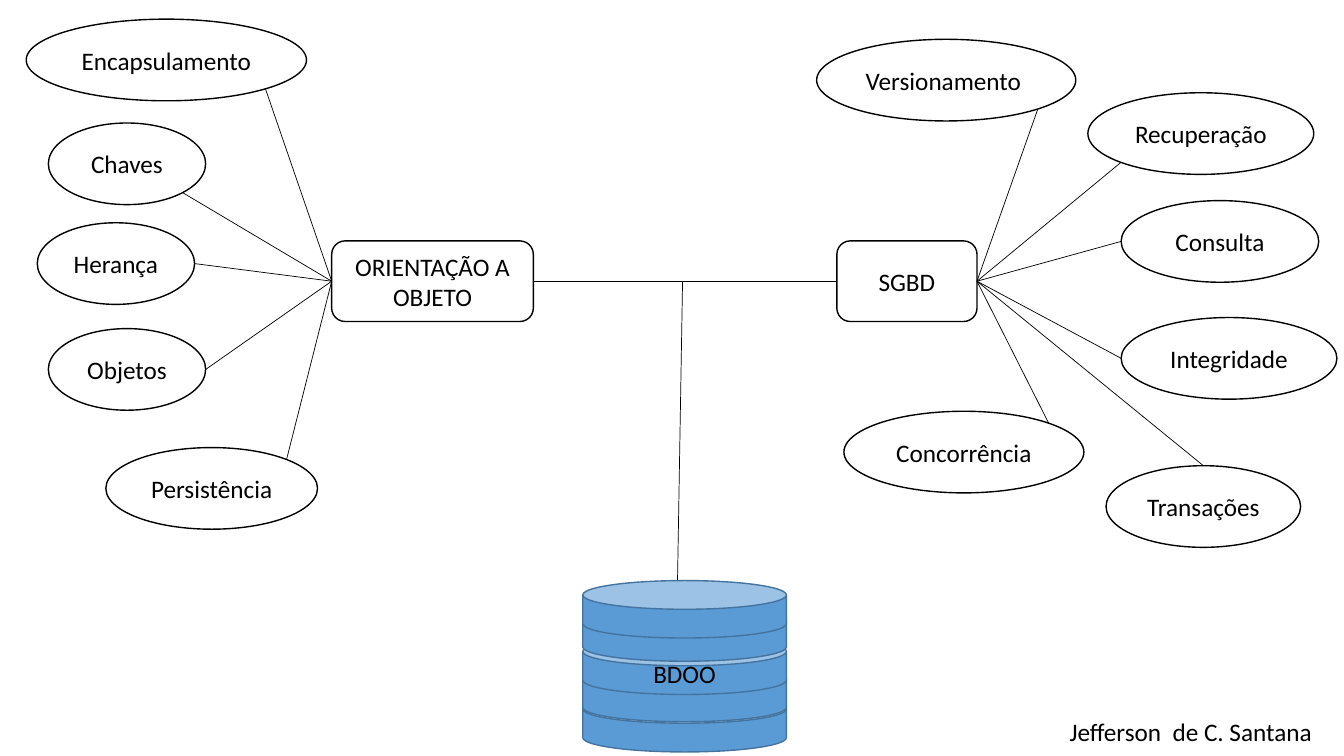
import math

import pptx
import pptx.dml.color
import pptx.enum.shapes
import pptx.enum.text
import pptx.oxml.ns
import pptx.util
from lxml import etree

PX = 9144  # EMU per px, 100 px to the inch
FONT = "Calibri"
COLORS = {"paper": "FFFFFF", "ink": "000000", "disk": "5B9BD5", "disk_edge": "43739E"}
SHAPE = pptx.enum.shapes.MSO_SHAPE
LEFT_SIDE, RIGHT_SIDE = 1, 3

presentation = pptx.Presentation()
presentation.slide_width = 1333 * PX
presentation.slide_height = 750 * PX
slide = presentation.slides.add_slide(presentation.slide_layouts[6])


def add_node(kind, box, text="", fill="paper", edge="ink"):
    shape = slide.shapes.add_shape(kind, *(length * PX for length in box))
    shape.shadow.inherit = False
    shape.fill.solid()
    shape.fill.fore_color.rgb = pptx.dml.color.RGBColor.from_string(COLORS[fill])
    shape.line.color.rgb = pptx.dml.color.RGBColor.from_string(COLORS[edge])
    shape.line.width = pptx.util.Pt(1)
    if text:
        shape.text_frame.word_wrap = True
        shape.text_frame.vertical_anchor = pptx.enum.text.MSO_ANCHOR.MIDDLE
        paragraph = shape.text_frame.paragraphs[0]
        paragraph.alignment = pptx.enum.text.PP_ALIGN.CENTER
        run = paragraph.add_run()
        run.text = text
        run.font.name = FONT
        run.font.size = pptx.util.Pt(18)
        run.font.color.rgb = pptx.dml.color.RGBColor.from_string(COLORS["ink"])
    return shape


def add_line(begin, end):
    connector = slide.shapes.add_connector(
        pptx.enum.shapes.MSO_CONNECTOR.STRAIGHT, *(round(value * PX) for value in (*begin, *end))
    )
    connector.line.color.rgb = pptx.dml.color.RGBColor.from_string(COLORS["ink"])
    connector.line.width = pptx.util.Pt(0.5)
    etree.SubElement(connector._element.spPr, pptx.oxml.ns.qn("a:effectLst"))
    return connector


# The two hubs, the line between them and the line down to the database
objects_hub = add_node(SHAPE.ROUNDED_RECTANGLE, (329, 239, 200, 80), "ORIENTAÇÃO A OBJETO")
database_hub = add_node(SHAPE.ROUNDED_RECTANGLE, (830, 239, 139, 80), "SGBD")
bridge = add_line((529, 279), (830, 279))
bridge.begin_connect(objects_hub, RIGHT_SIDE)
bridge.end_connect(database_hub, LEFT_SIDE)
add_line((677, 279), (672, 576))

# Concepts: text, left, top, width, angle where the line meets the ellipse (clockwise from right)
ELLIPSE_HEIGHT = 81
concept_groups = [
    (objects_hub, LEFT_SIDE, (329, 279), [
        ("Encapsulamento", 26, 19, 278, 45),
        ("Chaves", 48, 122, 156, 45),
        ("Herança", 37, 221, 156, 0),
        ("Objetos", 48, 326, 156, 0),
        ("Persistência", 105, 444, 210, -45),
    ]),
    (database_hub, RIGHT_SIDE, (969, 279), [
        ("Versionamento ", 810, 39, 257, 45),
        ("Recuperação", 1079, 92, 224, 135),
        ("Consulta", 1112, 199, 196, 180),
        ("Integridade", 1112, 315, 214, 180),
        ("Transações", 1097, 462, 193, -90),
        ("Concorrência", 837, 408, 238, -45),
    ]),
]
for hub, side, hub_point, concepts in concept_groups:
    for text, left, top, width, degrees in concepts:
        add_node(SHAPE.OVAL, (left, top, width, ELLIPSE_HEIGHT), text)
        angle = math.radians(degrees)
        rim_point = (
            left + width / 2 * (1 + math.cos(angle)),
            top + ELLIPSE_HEIGHT / 2 * (1 + math.sin(angle)),
        )
        spoke = add_line(hub_point, rim_point)
        spoke.begin_connect(hub, side)

# Database: stacked disks, from the bottom up
for top, text in [(689, ""), (659, ""), (632, "BDOO"), (599, ""), (576, "")]:
    disk = add_node(SHAPE.CAN, (578, top, 202, 57), text, "disk", "disk_edge")
    disk.adjustments[0] = 0.5

# Author
author = slide.shapes.add_textbox(1051 * PX, 706 * PX, 286 * PX, 40 * PX)
author.text_frame.word_wrap = True
run = author.text_frame.paragraphs[0].add_run()
run.text = "Jefferson  de C. Santana"
run.font.name = FONT
run.font.size = pptx.util.Pt(18)
run.font.color.rgb = pptx.dml.color.RGBColor.from_string(COLORS["ink"])

presentation.save("out.pptx")
